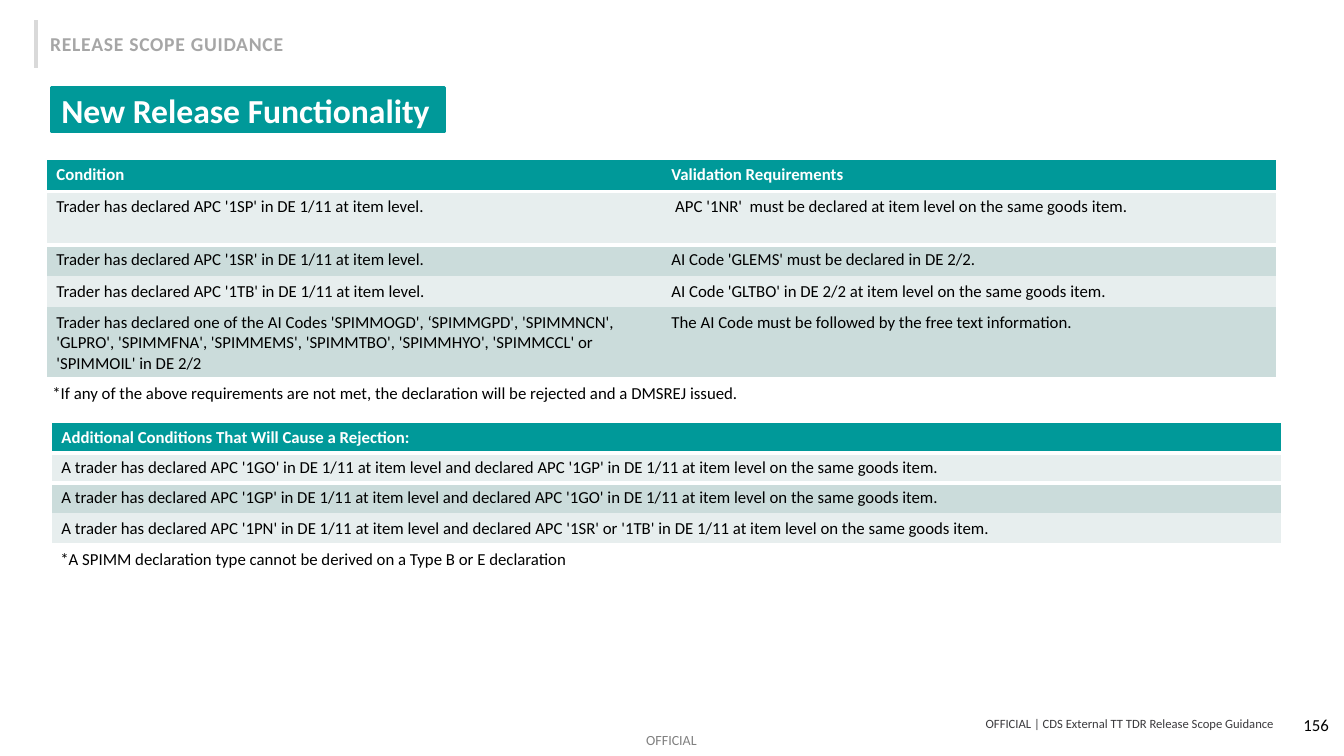
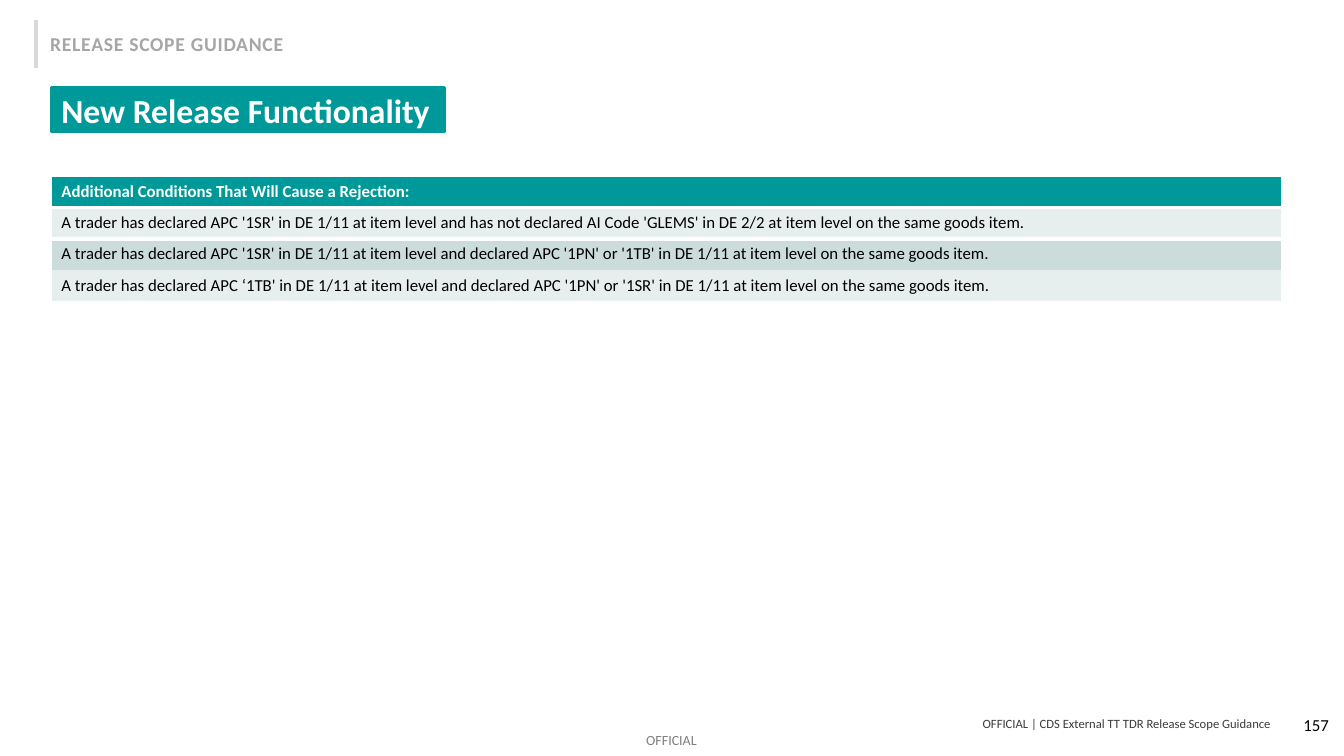
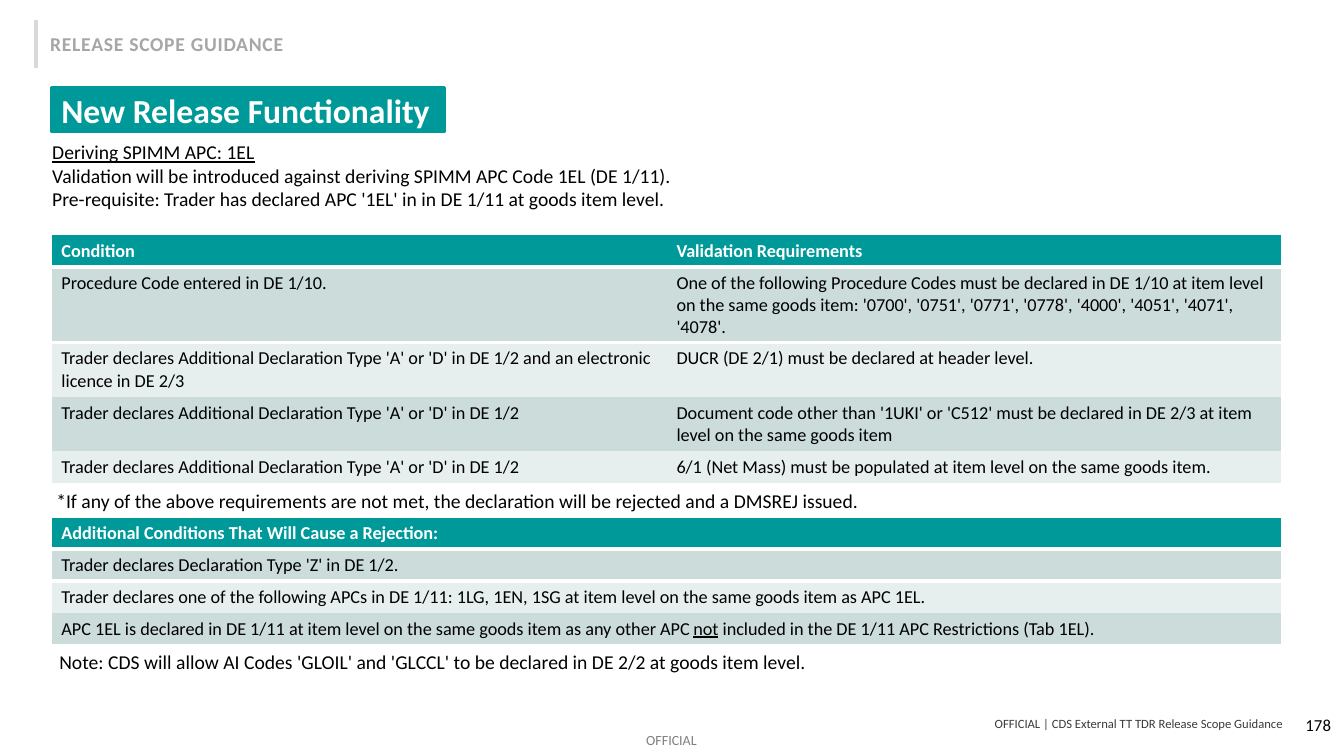
from lxml.etree import SubElement
from pptx import Presentation
from pptx.dml.color import RGBColor
from pptx.enum.shapes import MSO_CONNECTOR as Connector, MSO_SHAPE as Shape
from pptx.enum.text import MSO_ANCHOR as Anchor, PP_ALIGN as Align
from pptx.oxml import parse_xml
from pptx.oxml.ns import nsdecls, qn
from pptx.util import Inches, Pt

COLORS = {
    "teal": "009999", "light": "E7EEEE", "dark": "CBDCDB", "white": "FFFFFF",
    "black": "000000", "rule": "D9D9D9", "section": "A6A6A6", "footer": "3B3A3D",
}
FONT = "Calibri"
PLAIN_STYLE = "{2D5ABB26-0587-4C30-8999-92F81FD0307C}"
TABLE_WIDTH = 12.2

SECTION = "RELEASE SCOPE GUIDANCE"
TITLE = "New Release Functionality"
FOOTER = "OFFICIAL | CDS External TT TDR Release Scope Guidance"
MARKING = "OFFICIAL"
CONDITION_HEADER = ["Condition", "Validation Requirements"]
REJECTION_HEADER = ["Additional Conditions That Will Cause a Rejection:"]
REJECTION_NOTE = ("*If any of the above requirements are not met, the declaration "
                  "will be rejected and a DMSREJ issued.")

SLIDES = [
    {
        "number": "156", "number_left": 10.28, "footer_left": 3.13,
        "size": 12, "note_size": 12, "bands": ("light", "dark"),
        "tables": [
            {"at": (0.46, 1.58), "heights": [0.32, 0.53, 0.31, 0.31, 0.69], "rows": [
                CONDITION_HEADER,
                ["Trader has declared APC '1SP' in DE 1/11 at item level.",
                 " APC '1NR'  must be declared at item level on the same goods item."],
                ["Trader has declared APC '1SR' in DE 1/11 at item level.",
                 "AI Code 'GLEMS' must be declared in DE 2/2."],
                ["Trader has declared APC '1TB' in DE 1/11 at item level.",
                 "AI Code 'GLTBO' in DE 2/2 at item level on the same goods item."],
                ["Trader has declared one of the AI Codes 'SPIMMOGD', ‘SPIMMGPD', 'SPIMMNCN', "
                 "'GLPRO', 'SPIMMFNA', 'SPIMMEMS', 'SPIMMTBO', 'SPIMMHYO', 'SPIMMCCL' or "
                 "'SPIMMOIL' in DE 2/2",
                 "The AI Code must be followed by the free text information."],
            ]},
            {"at": (0.51, 4.19), "heights": [0.3] * 4, "rows": [
                REJECTION_HEADER,
                ["A trader has declared APC '1GO' in DE 1/11 at item level and declared APC "
                 "'1GP' in DE 1/11 at item level on the same goods item."],
                ["A trader has declared APC '1GP' in DE 1/11 at item level and declared APC "
                 "'1GO' in DE 1/11 at item level on the same goods item."],
                ["A trader has declared APC '1PN' in DE 1/11 at item level and declared APC "
                 "'1SR' or '1TB' in DE 1/11 at item level on the same goods item."],
            ]},
        ],
        "notes": [
            ((0.42, 3.75, 12.18, 0.3), [REJECTION_NOTE]),
            ((0.5, 5.39, 6.61, 0.3),
             ["*A SPIMM declaration type cannot be derived on a Type B or E declaration"]),
        ],
    },
    {
        "number": "157", "number_left": 10.28, "footer_left": 3.1,
        "size": 12, "note_size": 12, "bands": ("light", "dark"),
        "tables": [
            {"at": (0.51, 1.75), "heights": [0.31] * 4, "rows": [
                REJECTION_HEADER,
                ["A trader has declared APC '1SR' in DE 1/11 at item level and has not declared "
                 "AI Code 'GLEMS' in DE 2/2 at item level on the same goods item."],
                ["A trader has declared APC '1SR' in DE 1/11 at item level and declared APC "
                 "'1PN' or '1TB' in DE 1/11 at item level on the same goods item."],
                ["A trader has declared APC ‘1TB' in DE 1/11 at item level and declared APC "
                 "'1PN' or '1SR' in DE 1/11 at item level on the same goods item."],
            ]},
        ],
        "notes": [],
    },
    {
        "number": "178", "number_left": 10.3, "footer_left": 3.22,
        "size": 13, "note_size": 14, "bands": ("dark", "light"),
        "tables": [
            {"at": (0.51, 2.33), "heights": [0.31, 0.75, 0.54, 0.54, 0.31], "rows": [
                CONDITION_HEADER,
                ["Procedure Code entered in DE 1/10.",
                 "One of the following Procedure Codes must be declared in DE 1/10 at item level "
                 "on the same goods item: '0700', '0751', '0771', '0778', '4000', '4051', "
                 "'4071', '4078'."],
                ["Trader declares Additional Declaration Type 'A' or 'D' in DE 1/2 and an "
                 "electronic licence in DE 2/3",
                 "DUCR (DE 2/1) must be declared at header level."],
                ["Trader declares Additional Declaration Type 'A' or 'D' in DE 1/2",
                 "Document code other than '1UKI' or 'C512' must be declared in DE 2/3 at item "
                 "level on the same goods item"],
                ["Trader declares Additional Declaration Type 'A' or 'D' in DE 1/2",
                 "6/1 (Net Mass) must be populated at item level on the same goods item."],
            ]},
            {"at": (0.51, 5.13), "heights": [0.31] * 4, "rows": [
                REJECTION_HEADER,
                ["Trader declares Declaration Type 'Z' in DE 1/2."],
                ["Trader declares one of the following APCs in DE 1/11: 1LG, 1EN, 1SG at item "
                 "level on the same goods item as APC 1EL."],
                [[("APC 1EL is declared in DE 1/11 at item level on the same goods item as any "
                   "other APC ", False), ("not", True),
                  (" included in the DE 1/11 APC Restrictions (Tab 1EL).", False)]],
            ]},
        ],
        "notes": [
            ((0.42, 1.34, 12.33, 0.84), [
                [("Deriving SPIMM APC: 1EL", True)],
                "Validation will be introduced against deriving SPIMM APC Code 1EL (DE 1/11).",
                "Pre-requisite: Trader has declared APC '1EL' in in DE 1/11 at goods item level.",
            ]),
            ((0.46, 4.8, 12.18, 0.34), [REJECTION_NOTE]),
            ((0.49, 6.4, 12.42, 0.34),
             ["Note: CDS will allow AI Codes 'GLOIL' and 'GLCCL' to be declared in DE 2/2 "
              "at goods item level."]),
        ],
    },
]


def rgb(name):
    return RGBColor.from_string(COLORS[name])


def write_text(frame, paragraphs, size=12, color="black", bold=False, align=Align.LEFT,
               anchor=Anchor.TOP, wrap=True, inset=True, spacing=None, alpha=None):
    frame.word_wrap = wrap
    frame.vertical_anchor = anchor
    if not inset:
        frame.margin_left = frame.margin_right = frame.margin_top = frame.margin_bottom = 0
    for index, content in enumerate(paragraphs):
        paragraph = frame.add_paragraph() if index else frame.paragraphs[0]
        paragraph.alignment = align
        runs = [(content, False)] if isinstance(content, str) else content
        for text, underline in runs:
            run = paragraph.add_run()
            run.text = text
            font = run.font
            font.name, font.size, font.bold = FONT, Pt(size), bold
            font.underline = underline
            font.color.rgb = rgb(color)
            if spacing:
                run._r.get_or_add_rPr().set("spc", str(int(spacing * 100)))
            if alpha:
                shade = run._r.rPr.find(".//" + qn("a:srgbClr"))
                SubElement(shade, qn("a:alpha")).set("val", str(alpha * 1000))


def add_text(slide, box, paragraphs, **style):
    shape = slide.shapes.add_textbox(*map(Inches, box))
    write_text(shape.text_frame, paragraphs, **style)


def set_borders(cell, widths):
    properties = cell._tc.get_or_add_tcPr()
    for index, (side, width) in enumerate(widths):
        properties.insert(index, parse_xml(
            f'<a:ln{side} {nsdecls("a")} w="{Pt(width)}"><a:solidFill>'
            f'<a:srgbClr val="{COLORS["white"]}"/></a:solidFill></a:ln{side}>'))


def add_table(slide, at, heights, rows, size, bands):
    row_count, column_count = len(rows), len(rows[0])
    frame = slide.shapes.add_table(row_count, column_count, *map(
        Inches, (*at, TABLE_WIDTH, sum(heights))))
    table = frame.table
    table._tbl.tblPr.find(qn("a:tableStyleId")).text = PLAIN_STYLE
    for column in table.columns:
        column.width = Inches(TABLE_WIDTH / column_count)
    for r, (height, row) in enumerate(zip(heights, rows)):
        header = r == 0
        table.rows[r].height = Inches(height)
        for c, content in enumerate(row):
            cell = table.cell(r, c)
            write_text(cell.text_frame, [content], size=size, bold=header,
                       color="white" if header else "black")
            cell.fill.solid()
            cell.fill.fore_color.rgb = rgb("teal" if header else bands[(r - 1) % 2])
            sides = [("L", 1, c == 0), ("R", 1, c == column_count - 1),
                     ("T", 3 if r == 1 else 1, r <= 1),
                     ("B", 3 if header else 1, header or r == row_count - 1)]
            set_borders(cell, [(side, width) for side, width, shown in sides if shown])


def add_frame(slide, number, number_left, footer_left):
    add_text(slide, (6.41, 7.26, 0.53, 0.17), [MARKING], size=10, inset=False, alpha=50)
    for x in (0.36, 0.35):
        line = slide.shapes.add_connector(
            Connector.STRAIGHT, *map(Inches, (x, 0.2, x, 0.67)))
        line.line.color.rgb = rgb("rule")
        line.line.width = Pt(2.25)
        SubElement(line._element.spPr, qn("a:effectLst"))
    add_text(slide, (0.4, 0.27, 2.54, 0.34), [SECTION], size=14, color="section",
             bold=True, wrap=False, spacing=0.5)
    add_text(slide, (footer_left, 7.1, 9.5, 0.16), [FOOTER], size=9, color="footer",
             align=Align.RIGHT, anchor=Anchor.MIDDLE, inset=False)
    banner = slide.shapes.add_shape(Shape.RECTANGLE, *map(Inches, (0.51, 0.87, 3.9, 0.44)))
    banner.shadow.inherit = False
    banner.fill.solid()
    banner.fill.fore_color.rgb = banner.line.color.rgb = rgb("teal")
    banner.line.width = Pt(2)
    write_text(banner.text_frame, [TITLE], size=24, color="white", bold=True,
               anchor=Anchor.MIDDLE)
    add_text(slide, (number_left, 6.99, 3, 0.4), [number], align=Align.RIGHT,
             anchor=Anchor.MIDDLE)


def main():
    presentation = Presentation()
    presentation.slide_width, presentation.slide_height = Inches(13.33), Inches(7.5)
    for content in SLIDES:
        slide = presentation.slides.add_slide(presentation.slide_layouts[6])
        add_frame(slide, content["number"], content["number_left"], content["footer_left"])
        for table in content["tables"]:
            add_table(slide, **table, size=content["size"], bands=content["bands"])
        for box, paragraphs in content["notes"]:
            add_text(slide, box, paragraphs, size=content["note_size"])
    presentation.save("out.pptx")


if __name__ == "__main__":
    main()
